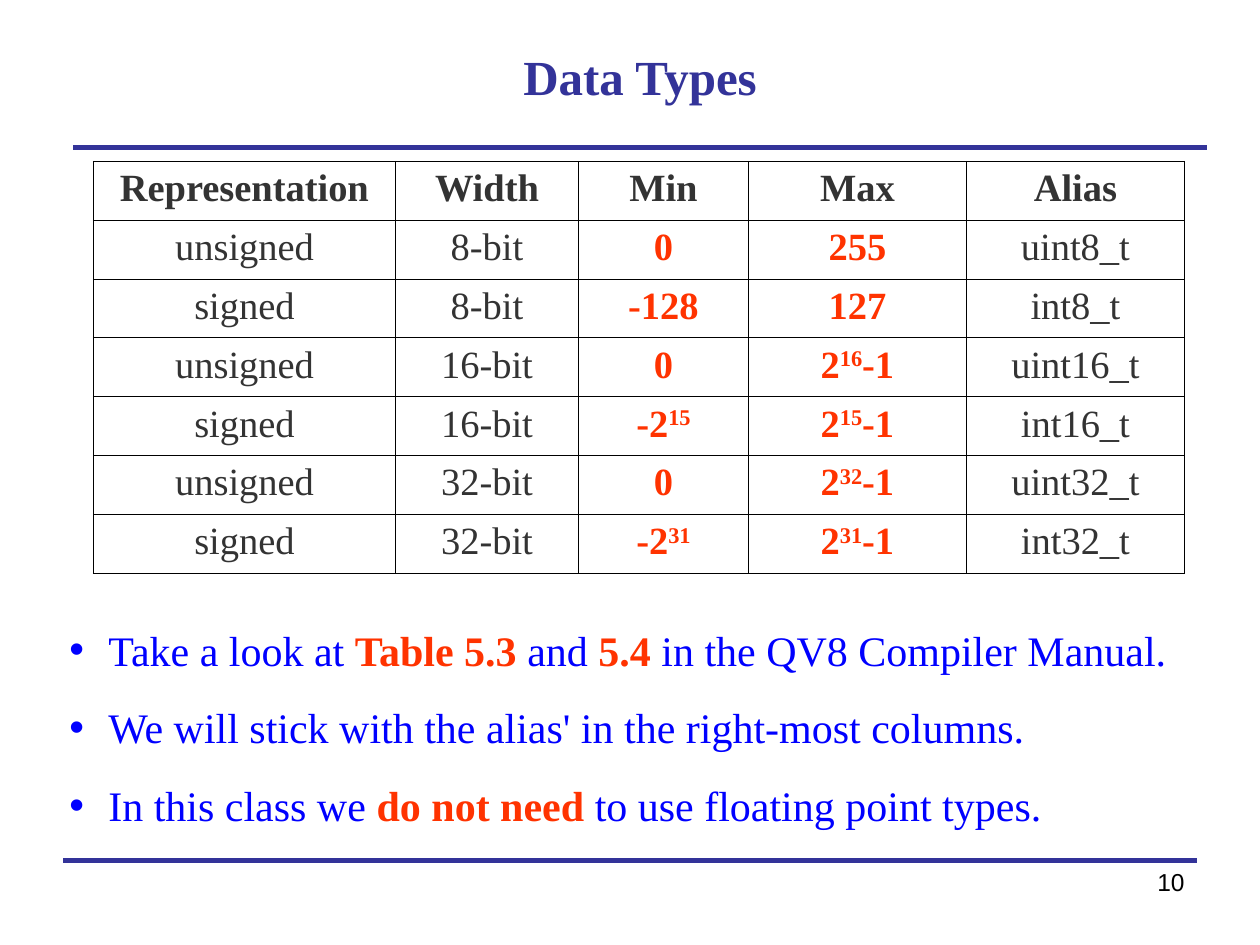
from lxml.etree import SubElement
from pptx import Presentation
from pptx.dml.color import RGBColor
from pptx.enum.shapes import MSO_CONNECTOR
from pptx.enum.text import MSO_ANCHOR, MSO_AUTO_SIZE, PP_ALIGN
from pptx.oxml.ns import qn
from pptx.util import Inches, Pt

HUES = {"navy": "333399", "blue": "0000FF", "red": "FF3300",
        "gray": "333333", "black": "000000", "white": "FFFFFF"}
SERIF = "Times New Roman"


def hue(name):
    return RGBColor.from_string(HUES[name])


def style(run, size, color, bold=False, face=SERIF):
    run.font.name = face
    run.font.size = Pt(size)
    run.font.bold = bold
    run.font.color.rgb = hue(color)


deck = Presentation()
deck.slide_width, deck.slide_height = Inches(10), Inches(7.5)
slide = deck.slides.add_slide(deck.slide_layouts[1])
shapes = slide.shapes

# Title
title = shapes.title
title.left, title.top = Inches(0.58), Inches(0.25)
title.width, title.height = Inches(9), Inches(0.7)
title.text_frame.text = "Data Types"
title.text_frame.vertical_anchor = MSO_ANCHOR.MIDDLE
head = title.text_frame.paragraphs[0]
head.alignment = PP_ALIGN.CENTER
style(head.runs[0], 28, "navy", True)

# Rules below the title and above the page number
for left, top in ((0.58, 1.17), (0.5, 6.83)):
    rule = shapes.add_connector(MSO_CONNECTOR.STRAIGHT, Inches(left), Inches(top),
                                Inches(left + 9), Inches(top))
    rule.line.color.rgb = hue("navy")
    rule.line.width = Pt(3)
    SubElement(rule._element.spPr, qn("a:effectLst"))

# Bullets: words between asterisks are bold and red
notes = ["Take a look at *Table 5.3* and *5.4* in the QV8 Compiler Manual.",
         "We will stick with the alias' in the right-most columns.",
         "In this class we *do not need* to use floating point types."]
body = slide.placeholders[1]
body.left, body.top = Inches(0.45), Inches(4.92)
body.width, body.height = Inches(9.31), Inches(1.7)
frame = body.text_frame
frame.auto_size = MSO_AUTO_SIZE.NONE
frame.vertical_anchor = MSO_ANCHOR.MIDDLE
for i, note in enumerate(notes):
    par = frame.paragraphs[0] if i == 0 else frame.add_paragraph()
    props = par._p.get_or_add_pPr()
    props.set("marL", str(Inches(0.31)))
    props.set("indent", str(-Inches(0.31)))
    tint = SubElement(props, qn("a:buClr"))
    SubElement(tint, qn("a:srgbClr"), val=HUES["blue"])
    SubElement(props, qn("a:buChar"), char="•")
    par.space_before = Pt(15.5 if i else 0)
    for j, part in enumerate(note.split("*")):
        run = par.add_run()
        run.text = part
        style(run, 24, "red" if j % 2 else "blue", j % 2 == 1)

# Table: digits between carets are superscript
rows = [["Representation", "Width", "Min", "Max", "Alias"],
        ["unsigned", "8-bit", "0", "255", "uint8_t"],
        ["signed", "8-bit", "-128", "127", "int8_t"],
        ["unsigned", "16-bit", "0", "2^16^-1", "uint16_t"],
        ["signed", "16-bit", "-2^15^", "2^15^-1", "int16_t"],
        ["unsigned", "32-bit", "0", "2^32^-1", "uint32_t"],
        ["signed", "32-bit", "-2^31^", "2^31^-1", "int32_t"]]
widths = [2.4, 1.45, 1.35, 1.73, 1.73]
table = shapes.add_table(len(rows), len(widths), Inches(0.74), Inches(1.28),
                         Inches(sum(widths)), Inches(3.27)).table
table.first_row = table.horz_banding = False
for col, width in zip(table.columns, widths):
    col.width = Inches(width)
for r, row in enumerate(rows):
    for c, text in enumerate(row):
        cell = table.cell(r, c)
        props = cell._tc.get_or_add_tcPr()
        for side in ("lnL", "lnR", "lnT", "lnB"):
            edge = SubElement(props, qn("a:" + side), w=str(Pt(0.45)))
            paint = SubElement(edge, qn("a:solidFill"))
            SubElement(paint, qn("a:srgbClr"), val=HUES["black"])
        cell.fill.solid()
        cell.fill.fore_color.rgb = hue("white")
        par = cell.text_frame.paragraphs[0]
        par.alignment = PP_ALIGN.CENTER
        limit = r > 0 and c in (2, 3)
        for j, part in enumerate(text.split("^")):
            if part:
                run = par.add_run()
                run.text = part
                style(run, 22, "red" if limit else "gray", r == 0 or limit)
                if j % 2:
                    run.font._element.set("baseline", "30000")

# Page number
page = shapes.add_textbox(Inches(7.17), Inches(6.83), Inches(2.33), Inches(0.52))
page.text_frame.word_wrap = True
page.text_frame.text = "10"
par = page.text_frame.paragraphs[0]
par.alignment = PP_ALIGN.RIGHT
style(par.runs[0], 14, "black", face="Arial")

deck.save("out.pptx")
